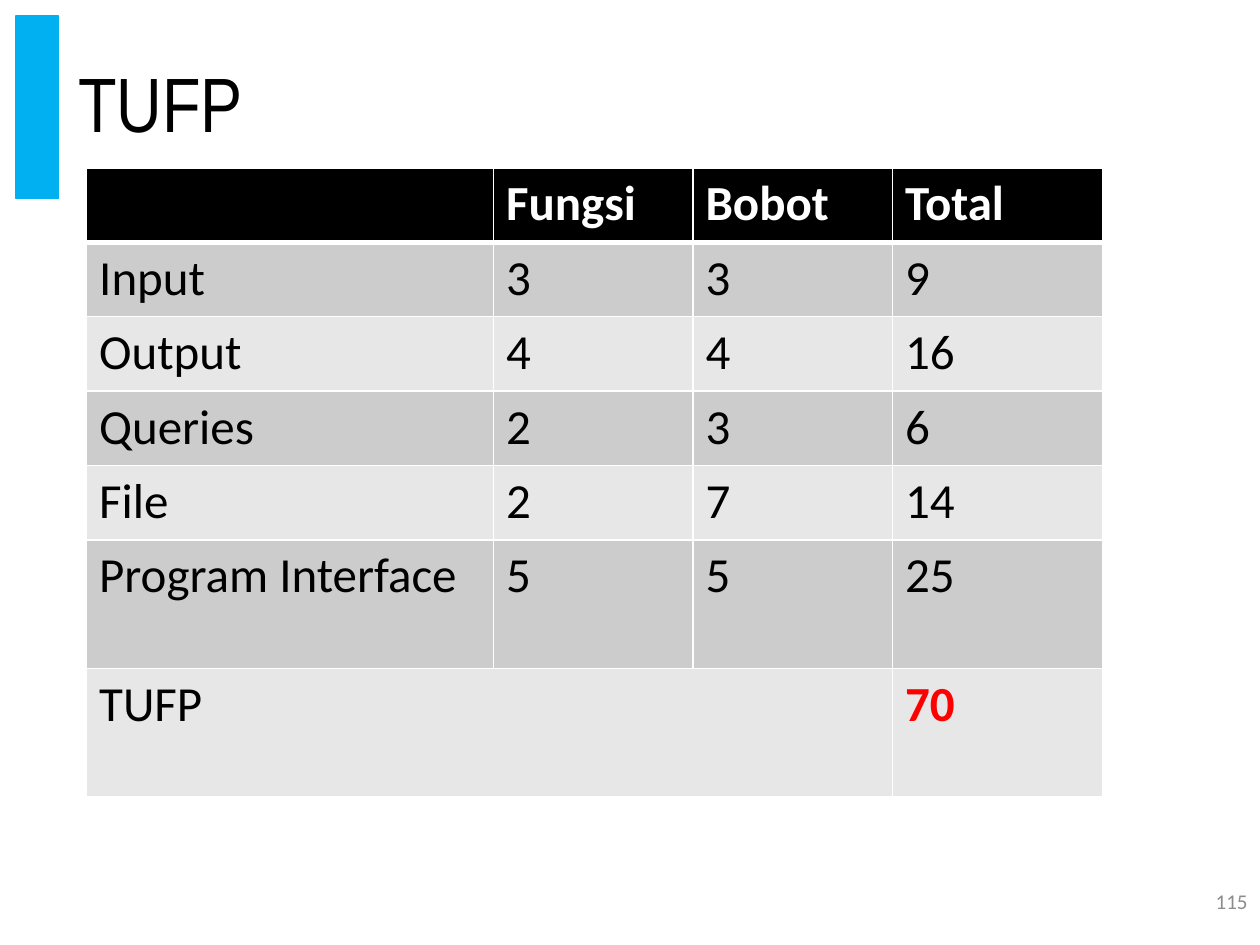
from lxml import etree
from pptx import Presentation
from pptx import util as u
from pptx.dml import color
from pptx.enum import shapes, text
from pptx.oxml import ns

Pt = u.Pt
BODY_FONT = "Calibri"
HEADER = ["", "Fungsi", "Bobot", "Total"]
COMPONENTS = [
    ("Input", 3, 3),
    ("Output", 4, 4),
    ("Queries", 2, 3),
    ("File", 2, 7),
    ("Program Interface", 5, 5),
]
COLUMN_WIDTHS = [232.5, 114, 114, 120]
ROW_HEIGHTS = [42.5] * 5 + [73.5] * 2
BAND_FILLS = ["CCCCCC", "E7E7E7"]


def rgb(hex_code):
    return color.RGBColor.from_string(hex_code)


def add_run(paragraph, words, size, font, hex_code, bold=False):
    run = paragraph.add_run()
    run.text = words
    run.font.size = Pt(size)
    run.font.name = font
    run.font.bold = bold
    run.font.color.rgb = rgb(hex_code)


def add_accent_bar(slide):
    bar = slide.shapes.add_shape(
        shapes.MSO_SHAPE.RECTANGLE, Pt(9), Pt(9), Pt(24.5), Pt(104.5))
    bar.shadow.inherit = False
    bar.fill.solid()
    bar.fill.fore_color.rgb = rgb("00B0F0")
    bar.line.color.rgb = rgb("00B0F0")
    bar.line.width = Pt(1)


def set_title(slide, words):
    title = slide.shapes.title
    title.left, title.top = Pt(37.5), Pt(9)
    title.width, title.height = Pt(655), Pt(104.5)
    title.text_frame.vertical_anchor = text.MSO_ANCHOR.MIDDLE
    paragraph = title.text_frame.paragraphs[0]
    paragraph.alignment = text.PP_ALIGN.LEFT
    paragraph.line_spacing = 0.9
    add_run(paragraph, words, 44, "Arial Narrow", "000000")


def add_page_number(slide, number):
    box = slide.shapes.add_textbox(Pt(558), Pt(500.5), Pt(162), Pt(28.75))
    frame = box.text_frame
    frame.word_wrap = True
    frame.vertical_anchor = text.MSO_ANCHOR.MIDDLE
    frame.paragraphs[0].alignment = text.PP_ALIGN.RIGHT
    add_run(frame.paragraphs[0], number, 12, BODY_FONT, "8C8C8C")


def set_borders(cell, bottom_width):
    """Draw white rules round a cell; they must precede the cell fill."""
    properties = cell._tc.get_or_add_tcPr()
    widths = {"a:lnL": 1, "a:lnR": 1, "a:lnT": 1, "a:lnB": bottom_width}
    for side, width in widths.items():
        rule = etree.SubElement(properties, ns.qn(side), w=str(Pt(width)))
        fill = etree.SubElement(rule, ns.qn("a:solidFill"))
        etree.SubElement(fill, ns.qn("a:srgbClr"), val="FFFFFF")


def fill_cell(cell, words, fill, hex_code="000000", bold=False, bottom_width=1):
    set_borders(cell, bottom_width)
    cell.fill.solid()
    cell.fill.fore_color.rgb = rgb(fill)
    if words:
        add_run(cell.text_frame.paragraphs[0], words, 28, BODY_FONT, hex_code, bold)


def add_points_table(slide):
    table = slide.shapes.add_table(
        len(ROW_HEIGHTS), len(COLUMN_WIDTHS), Pt(49.5), Pt(96),
        Pt(sum(COLUMN_WIDTHS)), Pt(sum(ROW_HEIGHTS))).table
    for column, width in zip(table.columns, COLUMN_WIDTHS):
        column.width = Pt(width)
    for row, height in zip(table.rows, ROW_HEIGHTS):
        row.height = Pt(height)

    for col, heading in enumerate(HEADER):
        fill_cell(table.cell(0, col), heading, "000000", "FFFFFF", True, 3)

    totals = [count * weight for _, count, weight in COMPONENTS]
    body = [[*component, total] for component, total in zip(COMPONENTS, totals)]
    body.append(["TUFP", "", "", sum(totals)])
    last = len(body)
    table.cell(last, 0).merge(table.cell(last, 2))
    for row, values in enumerate(body, start=1):
        for col, value in enumerate(values):
            is_grand_total = row == last and col == 3
            fill_cell(table.cell(row, col), str(value), BAND_FILLS[(row - 1) % 2],
                      "FF0000" if is_grand_total else "000000", is_grand_total)


def main():
    deck = Presentation()
    deck.slide_width, deck.slide_height = Pt(720), Pt(540)
    slide = deck.slides.add_slide(deck.slide_layouts[5])
    add_accent_bar(slide)
    set_title(slide, "TUFP")
    add_page_number(slide, "115")
    add_points_table(slide)
    deck.save("out.pptx")


if __name__ == "__main__":
    main()
